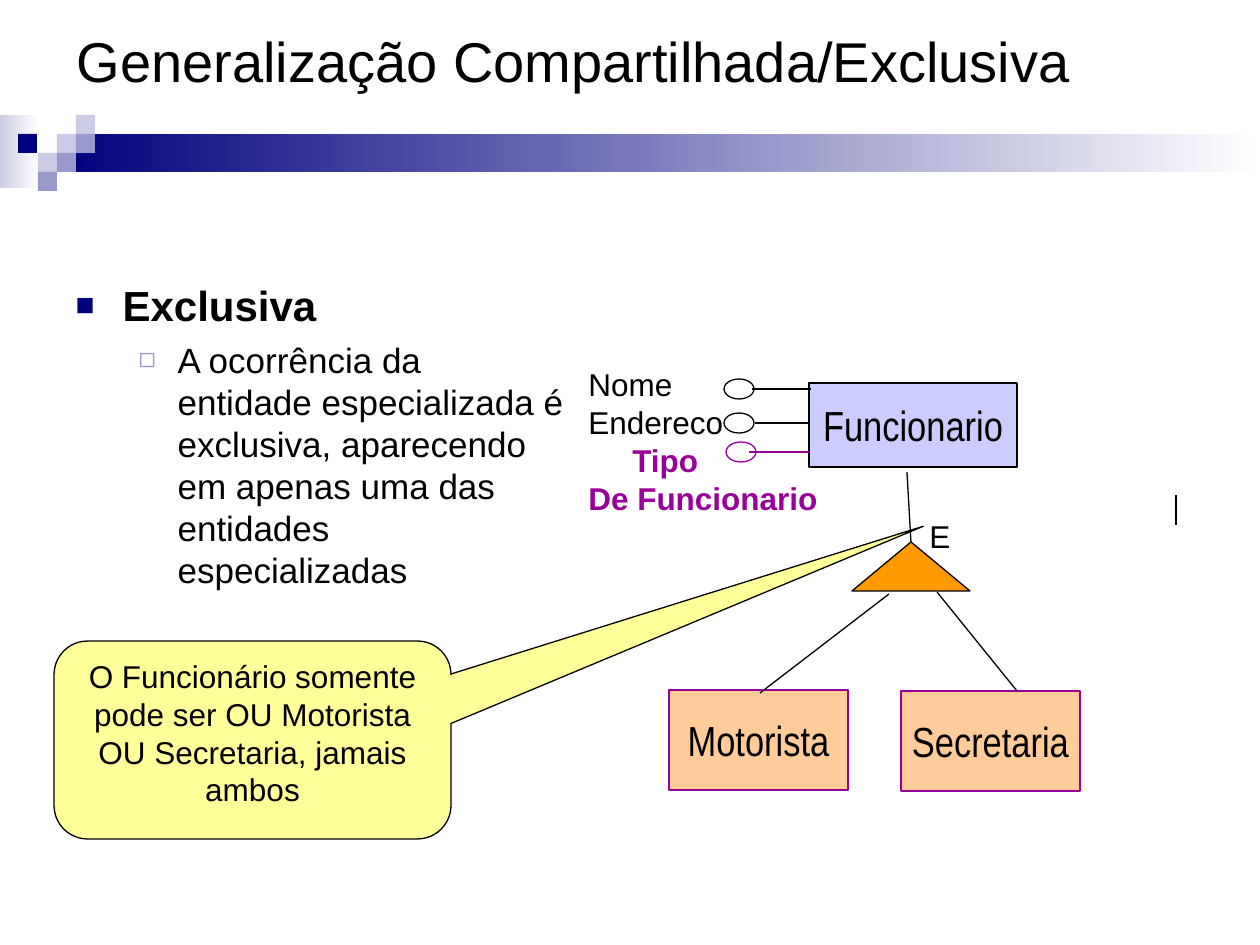
from dataclasses import dataclass

from lxml.etree import SubElement
from pptx import Presentation
from pptx.dml.color import RGBColor
from pptx.enum.shapes import MSO_CONNECTOR as Connector, MSO_SHAPE as Shape
from pptx.enum.text import MSO_ANCHOR as Anchor, MSO_AUTO_SIZE as AutoSize, PP_ALIGN as Align
from pptx.oxml.ns import qn
from pptx.util import Pt

EMU_PER_PX = 914400 / 126


@dataclass(frozen=True)
class Theme:
    font: str = "Arial"
    narrow: str = "Arial Narrow"
    black: str = "000000"
    white: str = "FFFFFF"
    navy: str = "00007D"
    lilac: str = "9999CC"
    pale: str = "CCCCE6"
    purple: str = "990099"
    blue: str = "CCCCFF"
    peach: str = "FFCC99"
    yellow: str = "FFFF99"
    orange: str = "FF9900"
    title: int = 32
    heading: int = 24
    body: int = 20
    label: int = 18
    line: float = 0.75


THEME = Theme()


def px(*lengths):
    return [round(length * EMU_PER_PX) for length in lengths]


def rgb(color):
    return RGBColor.from_string(color)


def write(paragraph, text, size=THEME.label, font=THEME.font, color=THEME.black,
          bold=False, align=Align.LEFT, before=0, left=0, hanging=0):
    paragraph.alignment = align
    paragraph.space_before = Pt(before)
    properties = paragraph._p.get_or_add_pPr()
    margin, indent = px(left, -hanging)
    properties.set("marL", str(margin))
    properties.set("indent", str(indent))
    run = paragraph.add_run()
    run.text = text
    run.font.size = Pt(size)
    run.font.name = font
    run.font.bold = bold
    run.font.color.rgb = rgb(color)


def add_bullet(paragraph, character, color, percent):
    properties = paragraph._p.get_or_add_pPr()
    bullet_color = SubElement(properties, qn("a:buClr"))
    SubElement(bullet_color, qn("a:srgbClr"), val=color)
    SubElement(properties, qn("a:buSzPct"), val=str(percent * 1000))
    SubElement(properties, qn("a:buFont"), typeface=THEME.font)
    SubElement(properties, qn("a:buChar"), char=character)


def place(shape, *box):
    shape.left, shape.top, shape.width, shape.height = px(*box)


def add_shape(slide, kind, box, fill=None, line=None):
    shape = slide.shapes.add_shape(kind, *px(*box))
    shape.shadow.inherit = False
    if fill:
        shape.fill.solid()
        shape.fill.fore_color.rgb = rgb(fill)
    else:
        shape.fill.background()
    if line:
        shape.line.color.rgb = rgb(line)
        shape.line.width = Pt(THEME.line)
    else:
        shape.line.fill.background()
    return shape


def add_gradient(slide, box, color):
    """Bar that goes from the colour at its left to white at its right or back."""
    shape = add_shape(slide, Shape.RECTANGLE, box)
    shape.fill.gradient()
    shape.fill.gradient_angle = 180
    for stop, position, stop_color in zip(shape.fill.gradient_stops, (0, 1), (THEME.white, color)):
        stop.position = position
        stop.color.rgb = rgb(stop_color)


def add_line(slide, start, end, color=THEME.black):
    line = slide.shapes.add_connector(Connector.STRAIGHT, *px(*start, *end))
    line.line.color.rgb = rgb(color)
    line.line.width = Pt(THEME.line)
    SubElement(line._element.spPr, qn("a:effectLst"))


def add_entity(slide, name, box, fill, line):
    entity = add_shape(slide, Shape.RECTANGLE, box, fill, line)
    frame = entity.text_frame
    frame.word_wrap = False
    frame.vertical_anchor = Anchor.MIDDLE
    write(frame.paragraphs[0], name, size=THEME.heading, font=THEME.narrow, align=Align.CENTER)


def add_attribute(slide, left, top, line_start, line_end, color=THEME.black):
    add_shape(slide, Shape.OVAL, (left, top, 30, 20), line=color)
    add_line(slide, (line_start, top + 10), (line_end, top + 10), color)


def add_labels(slide, box, labels):
    """Text box with one paragraph for each (text, format) pair."""
    frame = slide.shapes.add_textbox(*px(*box)).text_frame
    frame.word_wrap = False
    for index, (text, formats) in enumerate(labels):
        paragraph = frame.add_paragraph() if index else frame.paragraphs[0]
        write(paragraph, text, **formats)


def add_banner(slide):
    add_gradient(slide, (0, 115, 39, 73), THEME.pale)
    add_gradient(slide, (57, 134, 1203, 38), THEME.navy)
    squares = [(57, 134, THEME.pale), (76, 115, THEME.pale), (76, 134, THEME.lilac),
               (38, 153, THEME.pale), (18, 134, THEME.navy), (57, 153, THEME.lilac),
               (38, 172, THEME.lilac)]
    for left, top, color in squares:
        add_shape(slide, Shape.RECTANGLE, (left, top, 19, 19), color)


def fill_placeholders(slide):
    title, body = slide.shapes.title, slide.placeholders[1]
    place(title, 64, 0, 1134, 120)
    place(body, 63, 273, 515, 536)
    for placeholder in (title, body):
        placeholder.text_frame.auto_size = AutoSize.NONE
        placeholder.text_frame.word_wrap = True
    title.text_frame.vertical_anchor = Anchor.MIDDLE
    write(title.text_frame.paragraphs[0], "Generalização Compartilhada/Exclusiva", size=THEME.title)

    heading = body.text_frame.paragraphs[0]
    write(heading, "Exclusiva", size=THEME.heading, bold=True, before=6, left=47, hanging=47)
    add_bullet(heading, "■", THEME.navy, 75)
    detail = body.text_frame.add_paragraph()
    detail.level = 1
    write(detail, "A ocorrência da entidade especializada é exclusiva, aparecendo "
          "em apenas uma das entidades especializadas",
          size=THEME.body, before=5, left=102, hanging=39)
    add_bullet(detail, "◻", THEME.lilac, 80)


def add_callout(slide):
    callout = add_shape(slide, Shape.ROUNDED_RECTANGULAR_CALLOUT, (54, 641, 397, 198),
                        THEME.yellow, THEME.black)
    for index, value in enumerate((1.69, -1.08, 0.17)):
        callout.adjustments[index] = value
    frame = callout.text_frame
    frame.word_wrap = True
    frame.vertical_anchor = Anchor.TOP
    write(frame.paragraphs[0], "O Funcionário somente pode ser OU Motorista "
          "OU Secretaria, jamais ambos", align=Align.CENTER)


def add_diagram(slide):
    add_entity(slide, "Funcionario", (809, 383, 208, 84), THEME.blue, THEME.black)
    add_attribute(slide, 724, 379, 752, 811)
    add_attribute(slide, 724, 413, 755, 810)
    key = {"color": THEME.purple, "bold": True}
    add_labels(slide, (576, 359, 255, 164),
               [("Nome", {}), ("Endereco", {}), ("Tipo", {**key, "left": 44}),
                ("De Funcionario", key)])
    add_line(slide, (1176, 495), (1176, 525))
    add_line(slide, (907, 472), (911, 542))
    add_entity(slide, "Motorista", (669, 690, 179, 100), THEME.peach, THEME.purple)
    add_entity(slide, "Secretaria", (901, 691, 179, 100), THEME.peach, THEME.purple)
    add_attribute(slide, 726, 442, 749, 809, THEME.purple)
    add_labels(slide, (917, 511, 45, 50), [("E", {})])
    add_callout(slide)
    add_shape(slide, Shape.ISOSCELES_TRIANGLE, (852, 542, 118, 49), THEME.orange, THEME.black)
    add_line(slide, (1017, 691), (937, 592))
    add_line(slide, (760, 693), (889, 594))


def main():
    presentation = Presentation()
    presentation.slide_width, presentation.slide_height = px(1260, 945)
    slide = presentation.slides.add_slide(presentation.slide_layouts[1])
    add_banner(slide)
    fill_placeholders(slide)
    add_diagram(slide)
    presentation.save("out.pptx")


if __name__ == "__main__":
    main()
